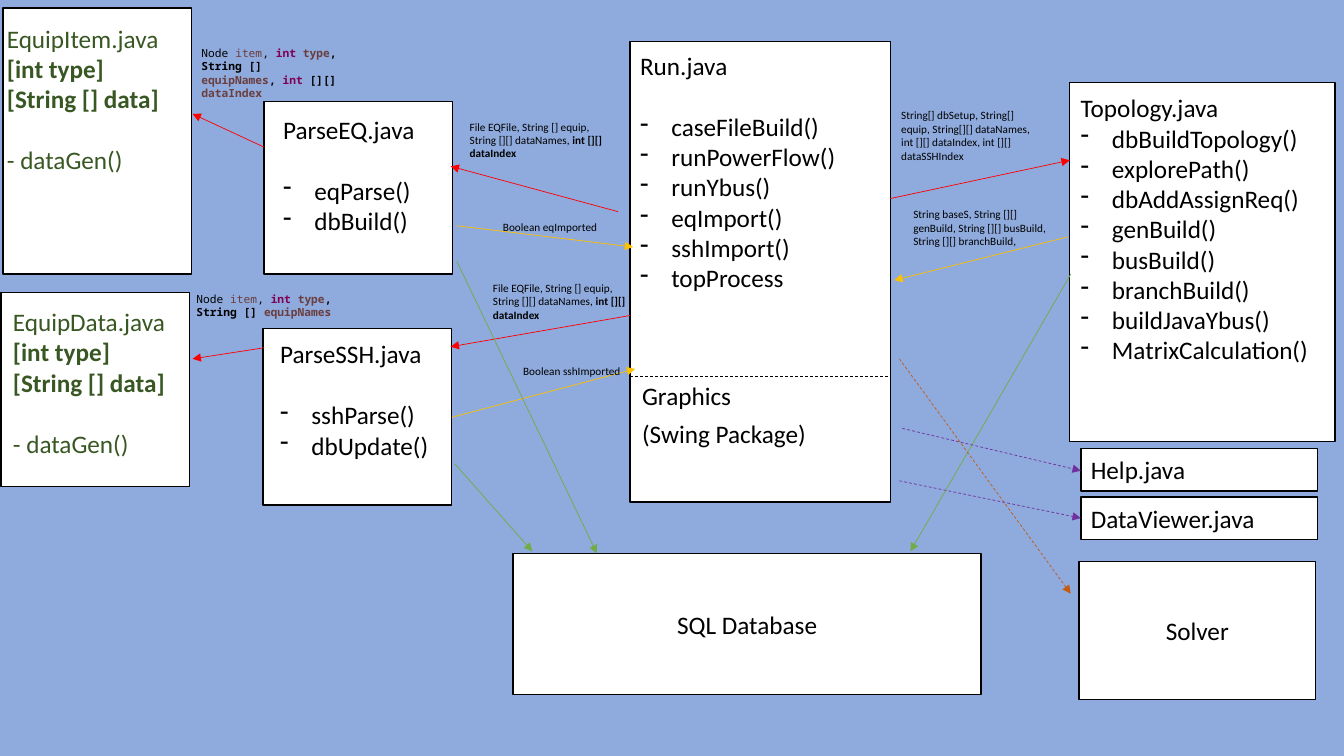
from dataclasses import dataclass

from lxml import etree
from pptx import Presentation
from pptx import util as u
from pptx.dml.color import RGBColor
from pptx.enum import dml, shapes, text
from pptx.oxml import ns


@dataclass(frozen=True)
class Theme:
    """Colours, fonts and type sizes."""
    back: str = "8FAADC"
    fill: str = "FFFFFF"
    ink: str = "000000"
    equip: str = "385723"
    name: str = "6A3E3E"
    word: str = "7F0055"
    call: str = "FF0000"
    reply: str = "FFC000"
    store: str = "70AD47"
    view: str = "7030A0"
    solver: str = "C55A11"
    font: str = "Calibri"
    mono: str = "Noto Sans Mono"
    body: int = 18
    note: int = 8
    gap: int = 22


def apply(item, values):
    """Set each named attribute of an item."""
    for key, value in values.items():
        setattr(item, key, value)


def child(node, tag, **values):
    """Add a drawing element to an XML node."""
    return etree.SubElement(node, ns.qn(tag), **values)


class Board:
    """Holds the theme and the current slide."""

    def __init__(self, deck, theme):
        """Add a blank slide with a plain background."""
        self.theme = theme
        self.slide = deck.slides.add_slide(deck.slide_layouts[6])
        fill = self.slide.background.fill
        fill.solid()
        fill.fore_color.rgb = RGBColor.from_string(theme.back)

    def runs(self, para, parts, size, font, tint):
        """Write (text, colour, bold) parts into a paragraph."""
        for words, color, bold in parts:
            run = para.add_run()
            run.text = words
            apply(run.font, {"size": u.Pt(size), "name": font, "bold": bold})
            run.font.color.rgb = RGBColor.from_string(color or tint)

    def box(self, at, label=None):
        """Draw a white box, with a centred label if given."""
        shape = self.slide.shapes.add_shape(
            shapes.MSO_SHAPE.RECTANGLE, *map(u.Inches, at))
        shape.shadow.inherit = False
        shape.fill.solid()
        shape.fill.fore_color.rgb = RGBColor.from_string(self.theme.fill)
        shape.line.color.rgb = RGBColor.from_string(self.theme.ink)
        shape.line.width = u.Pt(1)
        if label:
            shape.text_frame.vertical_anchor = text.MSO_ANCHOR.MIDDLE
            para = shape.text_frame.paragraphs[0]
            para.alignment = text.PP_ALIGN.CENTER
            self.runs(para, [(label, None, False)], self.theme.body,
                      self.theme.font, self.theme.ink)

    def link(self, ends, color, dash=False, head=True):
        """Draw a thin line, as a rule with an arrowhead."""
        line = self.slide.shapes.add_connector(
            shapes.MSO_CONNECTOR.STRAIGHT, *map(u.Inches, ends))
        line.line.color.rgb = RGBColor.from_string(color)
        line.line.width = u.Pt(0.5)
        if dash:
            line.line.dash_style = dml.MSO_LINE.DASH
        props = line._element.spPr
        if head:
            child(props.find(ns.qn("a:ln")), "a:tailEnd", type="triangle")
        child(props, "a:effectLst")

    def frame(self, at):
        """Add a wrapping text box and return its text frame."""
        area = self.slide.shapes.add_textbox(*map(u.Inches, at)).text_frame
        area.word_wrap = True
        return area

    def note(self, at, parts, font=None):
        """Write a small label beside an arrow."""
        self.runs(self.frame(at).paragraphs[0], parts, self.theme.note,
                  font or self.theme.font, self.theme.ink)

    def title(self, at, name):
        """Write a class name and return its text frame."""
        area = self.frame(at)
        self.runs(area.paragraphs[0], [(name, None, False)],
                  self.theme.body, self.theme.font, self.theme.ink)
        return area

    def methods(self, at, name, calls, gap=0):
        """Write a class name above a dashed list of its methods."""
        area = self.title(at, name)
        for i, call in enumerate(calls):
            para = area.add_paragraph()
            para.space_before = u.Pt(0 if i else gap)
            props = para._p.get_or_add_pPr()
            inset = u.Inches(0.31)
            props.set("marL", str(inset))
            props.set("indent", str(-inset))
            child(props, "a:buChar", char="-")
            self.runs(para, [(call, None, False)], self.theme.body,
                      self.theme.font, self.theme.ink)

    def fields(self, at, name):
        """Write an equipment class with its fields and method."""
        area = self.frame(at)
        rows = [(name, False), ("[int type]", True),
                ("[String [] data]", True), ("- dataGen()", False)]
        for i, (words, bold) in enumerate(rows):
            para = area.add_paragraph() if i else area.paragraphs[0]
            para.space_before = u.Pt(self.theme.gap if i == 3 else 0)
            self.runs(para, [(words, None, bold)], self.theme.body,
                      self.theme.font, self.theme.equip)


deck = Presentation()
apply(deck, {"slide_width": u.Inches(13.33), "slide_height": u.Inches(7.5)})
theme = Theme()
board = Board(deck, theme)

for at in [(0.01, 2.9, 1.87, 1.93), (0.03, 0.08, 1.87, 2.64),
           (6.25, 0.41, 2.58, 4.57), (2.62, 1.01, 1.87, 1.71),
           (2.61, 3.26, 1.87, 1.75), (10.61, 0.82, 2.63, 3.56)]:
    board.box(at)
board.box((10.7, 5.57, 2.35, 1.37), "Solver")
board.box((5.09, 5.49, 4.64, 1.4), "SQL Database")
for i, name in enumerate(["Help.java", "DataViewer.java"]):
    top = 4.45 + 0.48 * i
    board.box((10.72, top, 2.35, 0.42))
    board.title((10.72, top + 0.01, 2.02, 0.4), name)

links = {
    theme.reply: [(4.53, 2.24, 6.28, 2.45), (4.48, 4.14, 6.3, 3.66),
                  (10.59, 2.35, 8.87, 2.78)],
    theme.call: [(6.13, 2.1, 4.47, 1.65), (6.25, 3.13, 4.47, 3.44),
                 (8.83, 1.97, 10.61, 1.59), (2.62, 1.46, 1.91, 1.13),
                 (2.62, 3.45, 1.91, 3.56)],
    theme.store: [(10.62, 2.72, 9.03, 5.47), (4.51, 4.6, 5.28, 5.47),
                  (4.53, 2.59, 5.92, 5.49)],
    theme.view: [(8.95, 4.25, 10.72, 4.67), (8.92, 4.77, 10.72, 5.14)],
    theme.solver: [(8.92, 3.56, 10.62, 5.89)],
}
for color, group in links.items():
    for ends in group:
        board.link(ends, color, dash=color in (theme.view, theme.solver))
board.link((6.25, 3.73, 8.83, 3.73), theme.ink, dash=True, head=False)

board.fields((-0.03, 0.18, 1.84, 1.92), "EquipItem.java")
board.fields((0.03, 2.99, 1.84, 2.22), "EquipData.java")
board.methods((2.71, 1.08, 1.51, 1.31), "ParseEQ.java",
              ["eqParse()", "dbBuild()"], theme.gap)
board.methods((2.68, 3.31, 1.72, 1.31), "ParseSSH.java",
              ["sshParse()", "dbUpdate()"], theme.gap)
board.methods((6.25, 0.45, 2.58, 3.13), "Run.java",
              ["caseFileBuild()", "runPowerFlow()", "runYbus()",
               "eqImport()", "sshImport()", "topProcess"], theme.gap)
board.methods((10.62, 0.87, 2.82, 3.13), "Topology.java",
              ["dbBuildTopology()", "explorePath()", "dbAddAssignReq()",
               "genBuild()", "busBuild()", "branchBuild()",
               "buildJavaYbus()", "MatrixCalculation()"])
board.title((6.27, 3.72, 1.72, 0.4), "Graphics")
board.title((6.27, 4.1, 2.04, 0.4), "(Swing Package)")

node = [("Node ", None, False), ("item", theme.name, False),
        (", ", None, False), ("int ", theme.word, True),
        ("type", theme.name, True), (", String [] ", None, True),
        ("equipNames", theme.name, True)]
index = [(", ", None, True), ("int", theme.word, True),
         (" [][] ", None, True), ("dataIndex", theme.name, True)]
board.note((1.9, 0.41, 1.59, 0.5), node + index, theme.mono)
board.note((1.85, 2.85, 1.59, 0.37), node, theme.mono)

for left, top in [(4.56, 1.14), (4.79, 2.74)]:
    board.note((left, top, 1.59, 0.5), [
        ("File EQFile, String [] equip, String [][] dataNames, ", None, False),
        ("int [][] dataIndex", None, True)])
for at, words in [
        ((4.89, 2.14, 1.59, 0.24), "Boolean eqImported"),
        ((5.09, 3.57, 1.59, 0.24), "Boolean sshImported"),
        ((8.84, 1.03, 1.59, 0.64),
         "String[] dbSetup, String[] equip, String[][] dataNames, "
         "int [][] dataIndex, int [][] dataSSHIndex"),
        ((8.96, 2.01, 1.59, 0.5),
         "String baseS, String [][] genBuild, String [][] busBuild, "
         "String [][] branchBuild,")]:
    board.note(at, [(words, None, False)])

deck.save("out.pptx")
